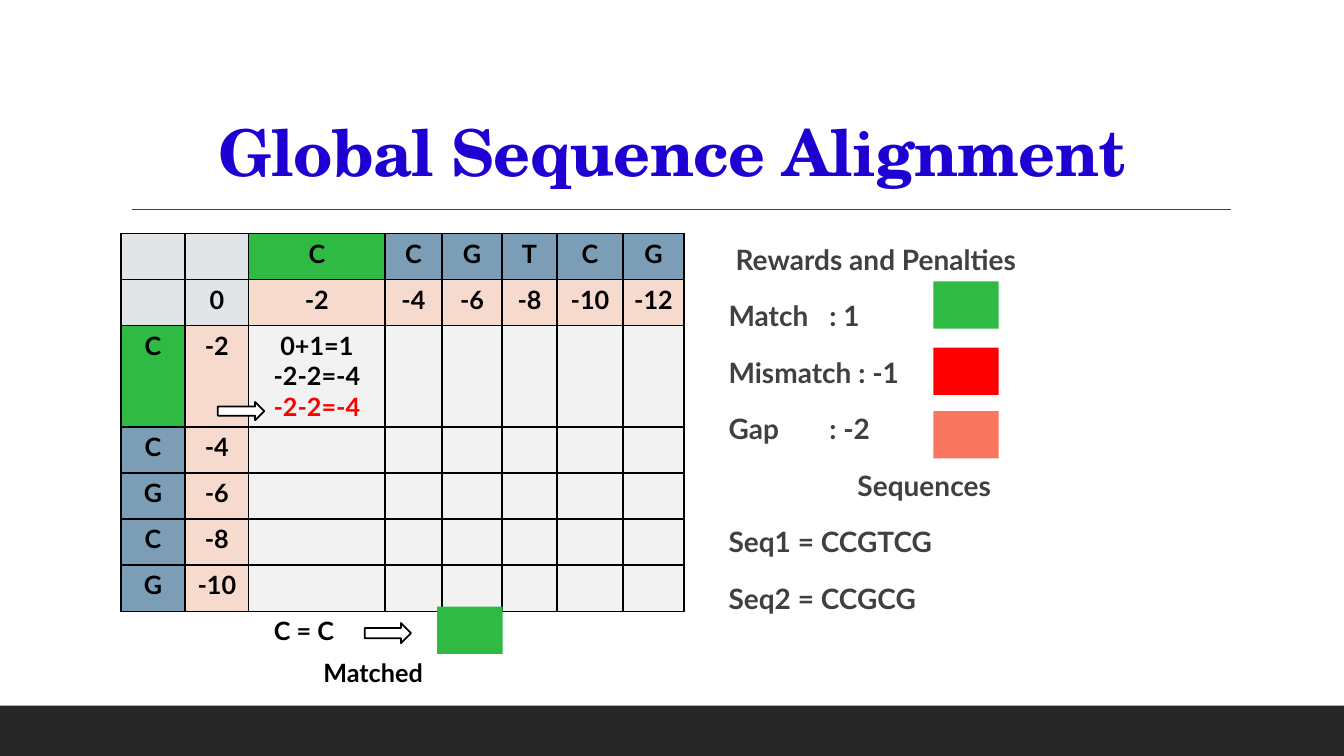
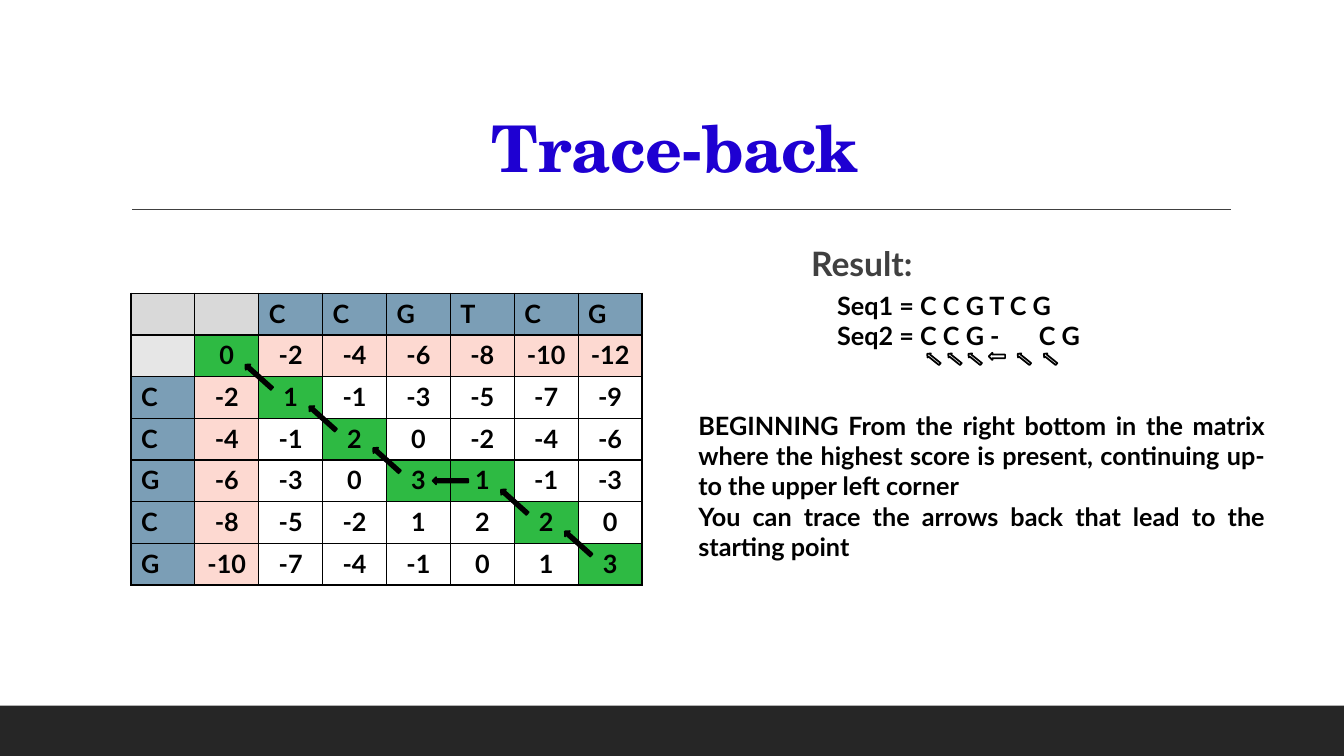
import pptx
import pptx.dml.color
import pptx.enum.shapes
import pptx.enum.text
import pptx.oxml
import pptx.oxml.ns
import pptx.util
from lxml import etree

Cm = pptx.util.Cm
Pt = pptx.util.Pt
qn = pptx.oxml.ns.qn
SHAPES = pptx.enum.shapes.MSO_SHAPE
ALIGN = pptx.enum.text.PP_ALIGN
ANCHOR = pptx.enum.text.MSO_ANCHOR

BODY_FONT = "Lato"
TITLE_FONT = "TeX Gyre Schola"
BLACK, WHITE, RED = "000000", "FFFFFF", "FF0000"
GREEN, STEEL, GAP_RED = "2EBA43", "7B9EB6", "FA7660"
INK, BAND, TITLE_BLUE = "404040", "262626", "1E00D2"


def rgb(value):
    return pptx.dml.color.RGBColor.from_string(value)


def add_span(para, text, size, colour, font=BODY_FONT):
    span = para.add_run()
    span.text = text
    span.font.size = Pt(size)
    span.font.bold = True
    span.font.name = font
    span.font.color.rgb = rgb(colour)
    return span


deck = pptx.Presentation()
deck.slide_width, deck.slide_height = Cm(33.87), Cm(19.05)
title_only = deck.slide_layouts[5]

# Titles
pages = []
for title_text, left, top, anchor in (
    ("Global Sequence Alignment", 2.97, 1.9, ANCHOR.MIDDLE),
    ("Trace-back", 3.05, 0.79, ANCHOR.BOTTOM),
):
    page = deck.slides.add_slide(title_only)
    pages.append(page)
    title = page.shapes.title
    title.left, title.top, title.width, title.height = Cm(left), Cm(top), Cm(27.94), Cm(4.04)
    frame = title.text_frame
    frame.auto_size = pptx.enum.text.MSO_AUTO_SIZE.NONE
    frame.vertical_anchor = anchor
    para = frame.paragraphs[0]
    para.alignment = ALIGN.CENTER
    para.line_spacing = 0.9
    span = add_span(para, title_text, 46, TITLE_BLUE, TITLE_FONT)
    span.font._element.set("spc", "-50")
alignment_page, trace_page = pages

# Bottom band and title rule, moved to the layout that both slides use
band = alignment_page.shapes.add_shape(SHAPES.RECTANGLE, 0, Cm(17.78), Cm(33.87), Cm(1.27))
band.shadow.inherit = False
band.fill.solid()
band.fill.fore_color.rgb = rgb(BAND)
band.line.fill.background()
rule = alignment_page.shapes.add_connector(
    pptx.enum.shapes.MSO_CONNECTOR.STRAIGHT, Cm(3.33), Cm(5.28), Cm(31.01), Cm(5.28))
rule.line.color.rgb = rgb(INK)
rule.line.width = Pt(1)
etree.SubElement(rule._element.spPr, qn("a:effectLst"))
for part in (band, rule):
    title_only.shapes.element.append(part._element)

# Score matrices
start_rows = [
    ["", "", "C", "C", "G", "T", "C", "G"],
    ["", "0", "-2", "-4", "-6", "-8", "-10", "-12"],
    ["C", "-2", "0+1=1\n-2-2=-4\n-2-2=-4"] + [""] * 5,
    ["C", "-4"] + [""] * 6,
    ["G", "-6"] + [""] * 6,
    ["C", "-8"] + [""] * 6,
    ["G", "-10"] + [""] * 6,
]
scored_rows = start_rows[:2] + [
    ["C", "-2", "1", "-1", "-3", "-5", "-7", "-9"],
    ["C", "-4", "-1", "2", "0", "-2", "-4", "-6"],
    ["G", "-6", "-3", "0", "3", "1", "-1", "-3"],
    ["C", "-8", "-5", "-2", "1", "2", "2", "0"],
    ["G", "-10", "-7", "-4", "-1", "0", "1", "3"],
]
trace = [(1, 1), (2, 2), (3, 3), (4, 4), (4, 5), (5, 6), (6, 7)]
trace_left, trace_top, trace_column, trace_row = 3.3, 7.39, 1.61, 1.05

matrices = [
    {"page": alignment_page, "rows": start_rows, "left": 3.05, "top": 5.89,
     "widths": [1.61, 1.61, 3.43, 1.44, 1.51, 1.39, 1.66, 1.54],
     "heights": [1.16, 1.16, 2.55] + [1.16] * 4,
     "corner": "E2E5E8", "gaps": "F6DACE", "body": "F2F2F2",
     "letters": ALIGN.CENTER, "marked": {(0, 2): GREEN, (2, 0): GREEN}},
    {"page": trace_page, "rows": scored_rows, "left": trace_left, "top": trace_top,
     "widths": [trace_column] * 8, "heights": [trace_row] * 7,
     "corner": "D9D9D9", "gaps": "FDD9D1", "body": WHITE,
     "letters": ALIGN.LEFT, "marked": {(1, 0): "E6E6E6", **dict.fromkeys(trace, GREEN)}},
]
for matrix in matrices:
    widths, heights = matrix["widths"], matrix["heights"]
    table = matrix["page"].shapes.add_table(
        len(heights), len(widths), Cm(matrix["left"]), Cm(matrix["top"]),
        Cm(sum(widths)), Cm(sum(heights))).table
    for column, width in zip(table.columns, widths):
        column.width = Cm(width)
    for row, height in zip(table.rows, heights):
        row.height = Cm(height)
    for r, texts in enumerate(matrix["rows"]):
        for c, text in enumerate(texts):
            cell = table.cell(r, c)
            # Borders come before the fill in the cell properties
            properties = cell._tc.get_or_add_tcPr()
            for side in ("a:lnL", "a:lnR", "a:lnT", "a:lnB"):
                border = etree.SubElement(properties, qn(side), w=str(Pt(1)))
                solid = etree.SubElement(border, qn("a:solidFill"))
                etree.SubElement(solid, qn("a:srgbClr"), val=BLACK)
            if r < 2 and c < 2:
                fill = matrix["corner"]
            elif r == 0 or c == 0:
                fill = STEEL
            elif r == 1 or c == 1:
                fill = matrix["gaps"]
            else:
                fill = matrix["body"]
            cell.fill.solid()
            cell.fill.fore_color.rgb = rgb(matrix["marked"].get((r, c), fill))
            if not text:
                continue
            for i, line in enumerate(text.split("\n")):
                para = cell.text_frame.paragraphs[0] if i == 0 else cell.text_frame.add_paragraph()
                para.alignment = matrix["letters"] if r == 0 or c == 0 else ALIGN.CENTER
                add_span(para, line, 18, RED if i == 2 else BLACK)

# Text boxes: each paragraph is text, left indent, tab stop
rewards = [
    ("Rewards and Penalties", 0.18, 0),
    ("Match\t: 1", 0, 2.85),
    ("Mismatch : -1", 0, 0),
    ("Gap\t: -2", 0, 2.85),
    ("Sequences", 3.25, 0),
    ("Seq1 = CCGTCG", 0, 0),
    ("Seq2 = CCGCG", 0, 0),
]
aligned = [("Seq1 = C C G T C G", 0, 0), ("Seq2 = C C G -\tC G", 0, 4.4)]
explanation = [
    ("BEGINNING From the right bottom in the matrix where the highest score is present, "
     "continuing up-to the upper left corner", 0, 0),
    ("You can trace the arrows back that lead to the starting point", 0, 0),
]
text_boxes = [
    (alignment_page, 18.11, 5.89, 12.88, 10.41, 20, INK, ALIGN.LEFT, rewards),
    (alignment_page, 6.65, 15.37, 2.54, 1.02, 18, BLACK, ALIGN.LEFT, [("C = C", 0, 0)]),
    (alignment_page, 7.9, 16.43, 3.18, 1.02, 18, BLACK, ALIGN.LEFT, [("Matched", 0, 0)]),
    (trace_page, 18.11, 5.89, 12.88, 1.3, 24, INK, ALIGN.LEFT, [("Result:", 2.08, 0)]),
    (trace_page, 20.85, 7.19, 10.72, 3.33, 18, BLACK, ALIGN.LEFT, aligned),
    (trace_page, 17.35, 10.21, 14.78, 4.88, 18, BLACK, ALIGN.JUSTIFY, explanation),
]
for page, left, top, width, height, size, colour, alignment, paragraphs in text_boxes:
    box = page.shapes.add_textbox(Cm(left), Cm(top), Cm(width), Cm(height))
    frame = box.text_frame
    frame.word_wrap = True
    for i, (text, indent, tab) in enumerate(paragraphs):
        para = frame.paragraphs[0] if i == 0 else frame.add_paragraph()
        para.alignment = alignment
        if colour == INK:
            para.line_spacing = 1.1
            para.space_before, para.space_after = Pt(12), Pt(2)
        properties = para._p.get_or_add_pPr()
        properties.set("marL", str(Cm(indent)))
        properties.set("indent", "0")
        if tab:
            stops = etree.SubElement(properties, qn("a:tabLst"))
            etree.SubElement(stops, qn("a:tab"), pos=str(Cm(tab)), algn="l")
        add_span(para, text, size, colour)

# Colour swatches: page, left, top, width, height, rotation, fill
swatches = [
    (alignment_page, left, top, 1.65, 1.19, 0, fill)
    for left, top, fill in ((23.52, 7.09, GREEN), (23.52, 8.76, RED),
                            (23.52, 10.36, GAP_RED), (11.02, 15.29, GREEN))
]

# Block arrows, in the same form
arrows = [
    (alignment_page, 5.49, 10.13, 1.17, 0.46, 0, WHITE),
    (alignment_page, 9.19, 15.7, 1.17, 0.51, 0, WHITE),
]
# Trace arrows sit midway between neighbouring cells of the trace
for (r1, c1), (r2, c2) in zip(trace, trace[1:]):
    x = trace_left + trace_column * (c1 + c2 + 1) / 2
    y = trace_top + trace_row * (r1 + r2 + 1) / 2
    arrows.append((trace_page, x - 0.45, y - 0.09, 0.9, 0.18, 180 if r1 == r2 else 221.8, BLACK))
# Small arrows under the aligned letters
for left in (23.32, 23.85, 24.36, 25.6, 26.26):
    arrows.append((trace_page, left, 8.98, 0.41, 0.13, 218.9, WHITE))
arrows.append((trace_page, 24.92, 8.89, 0.41, 0.18, 180, WHITE))

for kind, items in ((SHAPES.RECTANGLE, swatches), (SHAPES.RIGHT_ARROW, arrows)):
    for page, left, top, width, height, rotation, fill in items:
        shape = page.shapes.add_shape(kind, Cm(left), Cm(top), Cm(width), Cm(height))
        shape.shadow.inherit = False
        shape.rotation = rotation
        shape.fill.solid()
        shape.fill.fore_color.rgb = rgb(fill)
        if kind == SHAPES.RECTANGLE:
            shape.line.fill.background()
        else:
            shape.line.color.rgb = rgb(BLACK)
            shape.line.width = Pt(1.25)

deck.save("out.pptx")
